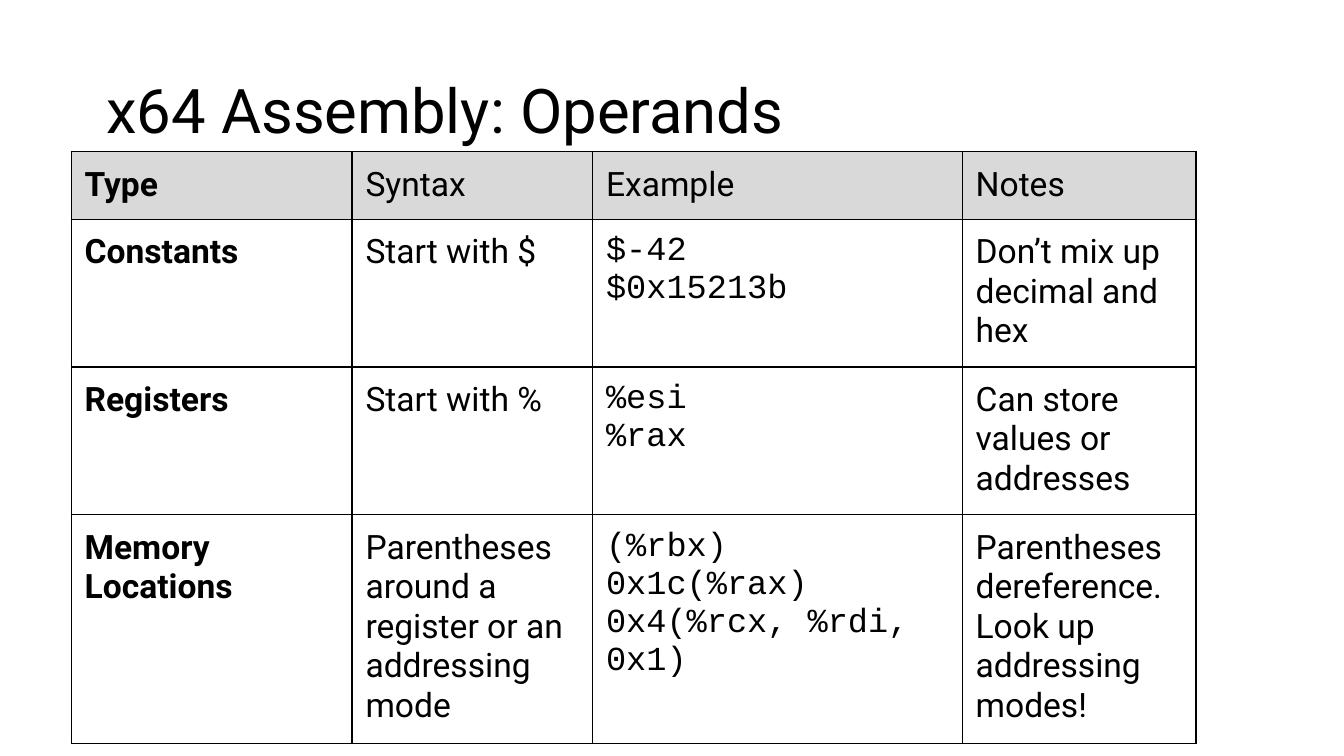
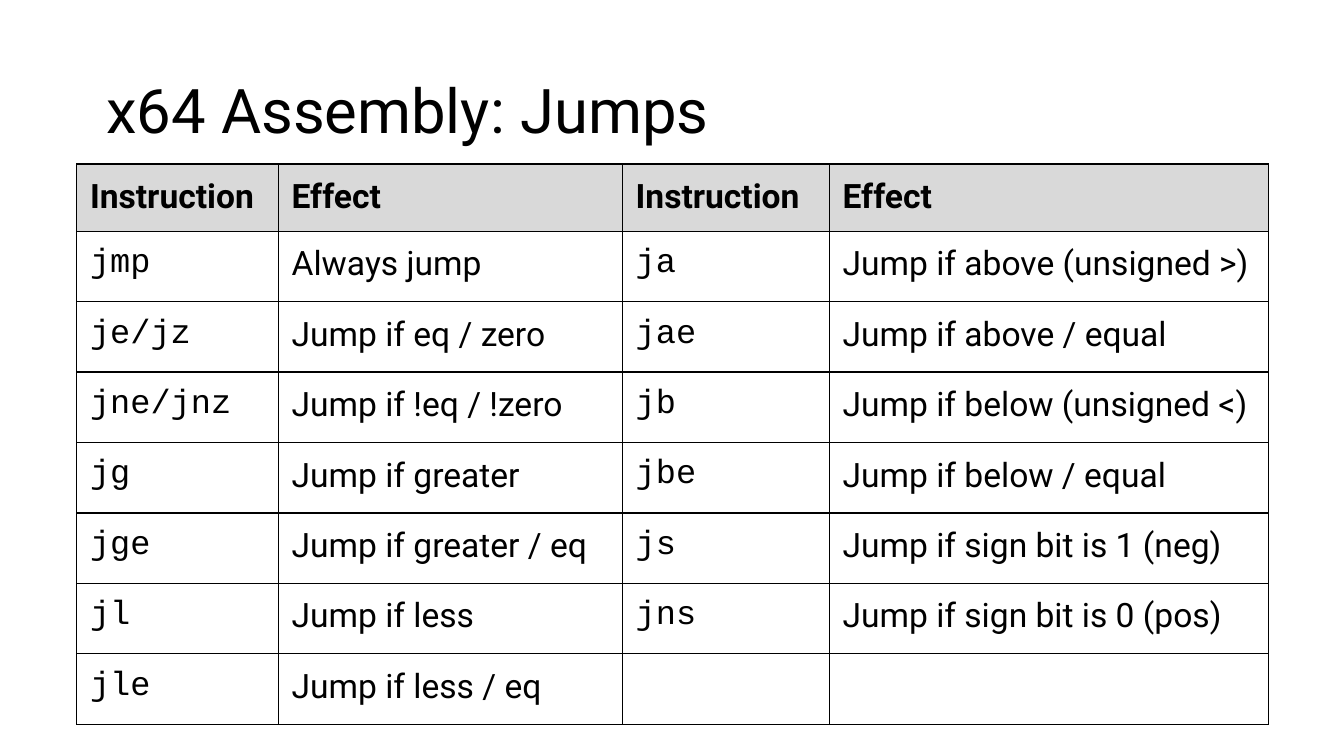
"""Build two slides of x64 assembly reference tables."""
from dataclasses import dataclass

from lxml.etree import SubElement as Sub
from pptx import Presentation
from pptx.dml.color import RGBColor
from pptx.enum.text import MSO_ANCHOR as Anchor, MSO_AUTO_SIZE as Fit, PP_ALIGN as Align
from pptx.oxml.ns import qn
from pptx.slide import Slide
from pptx.table import _Cell as Cell
from pptx.text.text import TextFrame as Frame
from pptx.util import Inches, Pt

BLACK = RGBColor(0x00, 0x00, 0x00)
GREY = RGBColor(0xD9, 0xD9, 0xD9)
SANS = "Roboto"
MONO = "Courier New"
WIDE = Inches(10)
HIGH = WIDE * 9 // 16
PAD = Inches(0.1)
EDGE = Pt(0.75)


@dataclass(frozen=True)
class Grid:
    """A titled table with its lengths in inches."""
    title: str
    left: float
    top: float
    height: float
    cols: tuple[float, ...]
    head: float
    row: float
    code: frozenset[int]
    bold_row: bool
    bold_col: bool
    cells: tuple[tuple[str, ...], ...]


GRIDS = (
    Grid(
        "x64 Assembly: Operands", 0.53, 1.13, 3.66,
        (2.09, 1.79, 2.75, 1.74), 0.45, 1.06, frozenset({2}), False, True,
        (
            ("Type", "Syntax", "Example", "Notes"),
            ("Constants", "Start with $", "$-42\n$0x15213b",
             "Don’t mix up decimal and hex"),
            ("Registers", "Start with %", "%esi\n%rax",
             "Can store values or addresses"),
            ("Memory Locations",
             "Parentheses around a register or an addressing mode",
             "(%rbx)\n0x1c(%rax)\n0x4(%rcx, %rdi, 0x1)",
             "Parentheses dereference. Look up addressing modes!"),
        ),
    ),
    Grid(
        "x64 Assembly: Jumps", 0.57, 1.22, 4.17,
        (1.5, 2.56, 1.54, 3.27), 0.34, 3.67 / 7, frozenset({0, 2}), True, False,
        (
            ("Instruction", "Effect", "Instruction", "Effect"),
            ("jmp", "Always jump", "ja", "Jump if above (unsigned >)"),
            ("je/jz", "Jump if eq / zero", "jae", "Jump if above / equal"),
            ("jne/jnz", "Jump if !eq / !zero", "jb", "Jump if below (unsigned <)"),
            ("jg", "Jump if greater", "jbe", "Jump if below / equal"),
            ("jge", "Jump if greater / eq", "js", "Jump if sign bit is 1 (neg)"),
            ("jl", "Jump if less", "jns", "Jump if sign bit is 0 (pos)"),
            ("jle", "Jump if less / eq", "", ""),
        ),
    ),
)


def style(frame: Frame, size: int, face: str = SANS, bold: bool = False) -> None:
    """Format every run of a text frame."""
    for para in frame.paragraphs:
        for run in para.runs:
            font = run.font
            font.name, font.size, font.bold = face, Pt(size), bold
            font.color.rgb = BLACK


def pad(item: Cell | Frame) -> None:
    """Give a cell or a frame equal margins."""
    item.margin_left = item.margin_right = PAD
    item.margin_top = item.margin_bottom = PAD


def border(cell: Cell) -> None:
    """Draw a thin line on all four sides of a cell."""
    props = cell._tc.get_or_add_tcPr()
    for spot, side in enumerate("LRTB"):
        line = Sub(props, qn(f"a:ln{side}"), w=str(int(EDGE)))
        Sub(Sub(line, qn("a:solidFill")), qn("a:srgbClr"), val=str(BLACK))
        props.insert(spot, line)


def add_title(slide: Slide, text: str) -> None:
    """Place and format the title."""
    shape = slide.shapes.title
    shape.left, shape.top = Inches(0.69), Inches(0.3)
    shape.width, shape.height = Inches(8.62), Inches(1.09)
    frame = shape.text_frame
    frame.text = text
    frame.word_wrap = True
    frame.auto_size = Fit.SHAPE_TO_FIT_TEXT
    frame.vertical_anchor = Anchor.MIDDLE
    pad(frame)
    para = frame.paragraphs[0]
    para.alignment = Align.LEFT
    para.line_spacing = 0.9
    style(frame, 33)


def add_grid(slide: Slide, grid: Grid) -> None:
    """Draw the table of a grid."""
    shape = slide.shapes.add_table(
        len(grid.cells), len(grid.cols), Inches(grid.left), Inches(grid.top),
        Inches(sum(grid.cols)), Inches(grid.height))
    table = shape.table
    for col, width in zip(table.columns, grid.cols):
        col.width = Inches(width)
    for y, texts in enumerate(grid.cells):
        table.rows[y].height = Inches(grid.row if y else grid.head)
        for x, text in enumerate(texts):
            cell = table.cell(y, x)
            cell.text = text
            pad(cell)
            if y:
                cell.fill.background()
            else:
                cell.fill.solid()
                cell.fill.fore_color.rgb = GREY
            border(cell)
            face = MONO if y and x in grid.code else SANS
            bold = (grid.bold_row and y == 0) or (grid.bold_col and x == 0)
            style(cell.text_frame, 18, face, bold)
    shape.height = Inches(grid.height)


def main() -> None:
    """Build and save the deck."""
    deck = Presentation()
    deck.slide_width, deck.slide_height = WIDE, HIGH
    for grid in GRIDS:
        slide = deck.slides.add_slide(deck.slide_layouts[5])
        add_title(slide, grid.title)
        add_grid(slide, grid)
    deck.save("out.pptx")


if __name__ == "__main__":
    main()
